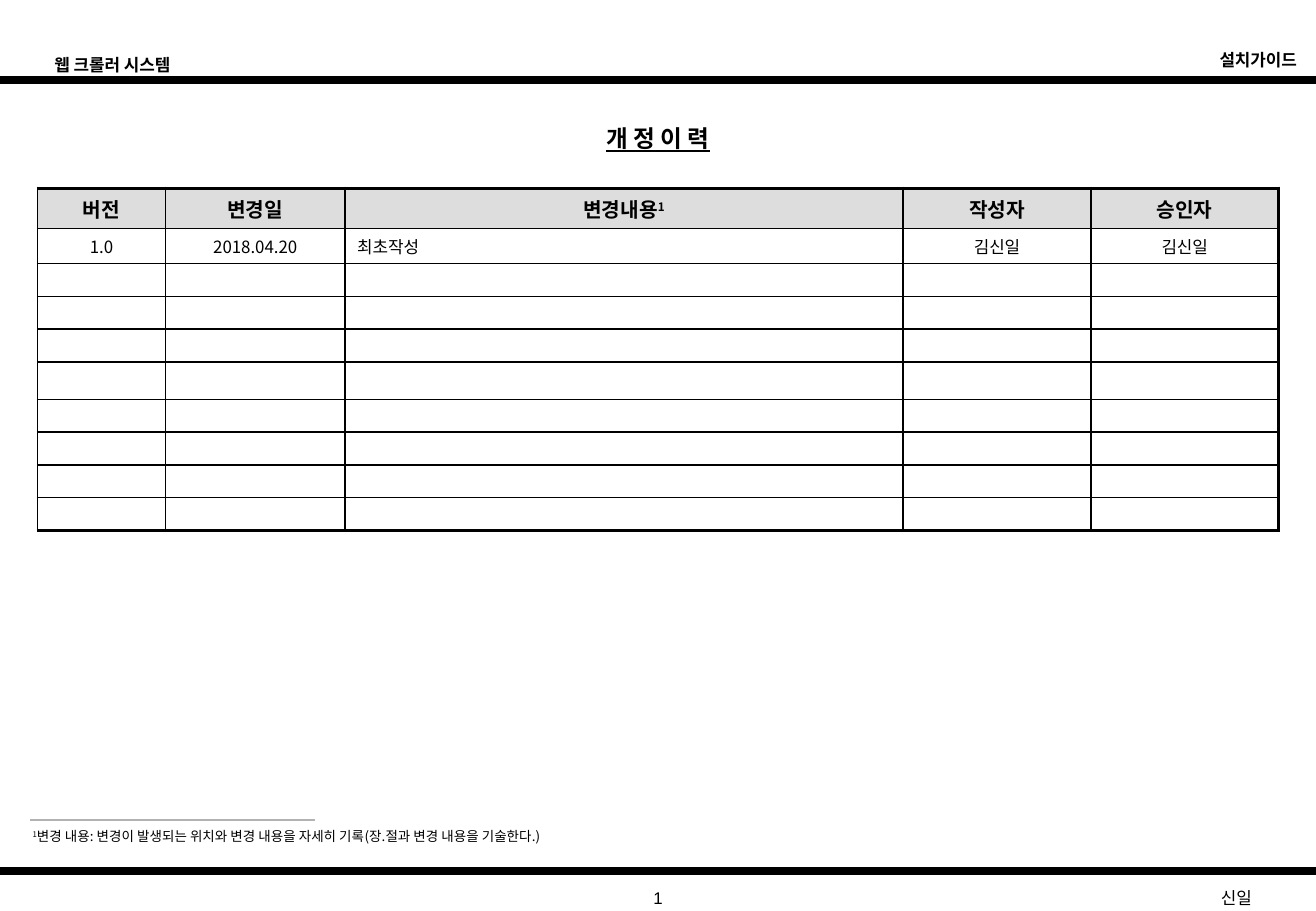
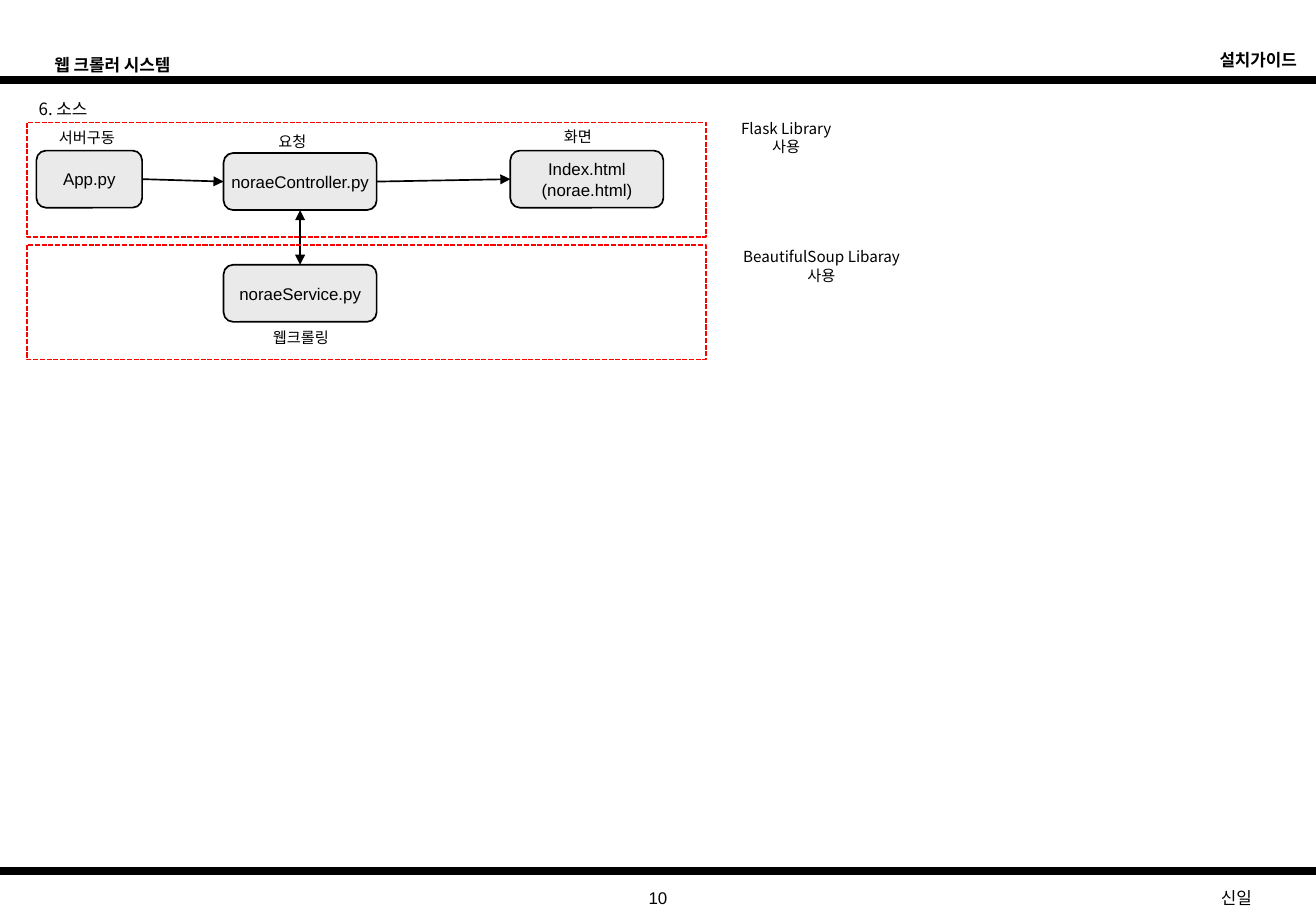
from lxml import etree
from pptx import Presentation
from pptx.dml.color import RGBColor
from pptx.enum.dml import MSO_LINE
from pptx.enum.shapes import MSO_CONNECTOR, MSO_SHAPE
from pptx.enum.text import MSO_ANCHOR, MSO_AUTO_SIZE, PP_ALIGN
from pptx.oxml.ns import qn
from pptx.util import Inches, Pt

BLACK = RGBColor(0, 0, 0)
WHITE = RGBColor(255, 255, 255)
RED = RGBColor(255, 0, 0)
RULE = RGBColor(0xB2, 0xB2, 0xB2)
HEAD = RGBColor(0xDD, 0xDD, 0xDD)
NODE = RGBColor(0xEA, 0xEA, 0xEA)
LATIN = "Arial"
KOREAN = "Noto Sans CJK KR"
LEFT, CENTER, RIGHT = PP_ALIGN.LEFT, PP_ALIGN.CENTER, PP_ALIGN.RIGHT
JUSTIFY = PP_ALIGN.JUSTIFY
MIDDLE = MSO_ANCHOR.MIDDLE
GROW = MSO_AUTO_SIZE.SHAPE_TO_FIT_TEXT
DASH = MSO_LINE.SQUARE_DOT
STRAIGHT = MSO_CONNECTOR.STRAIGHT
RECT, ROUND = MSO_SHAPE.RECTANGLE, MSO_SHAPE.ROUNDED_RECTANGLE
TOP, WEST, BOTTOM, EAST = range(4)
WIDE, HIGH = 10.83, 7.5


def write(frame, text, size=10, font=KOREAN, bold=False, under=False,
          align=LEFT, wrap=True):
    frame.word_wrap = wrap
    for row, line in enumerate(text.split("\n")):
        para = frame.add_paragraph() if row else frame.paragraphs[0]
        para.alignment = align
        for part, piece in enumerate(line.split("\v")):
            if part:
                para.add_line_break()
            for turn, chunk in enumerate(piece.split("^")):
                if not chunk:
                    continue
                run = para.add_run()
                run.text = chunk
                face = run.font
                face.size, face.name = Pt(size), font
                face.bold, face.underline = bold, under
                face.color.rgb = BLACK
                props = run._r.get_or_add_rPr()
                etree.SubElement(props, qn("a:ea"), typeface=font)
                if turn % 2:
                    props.set("baseline", "30000")
        if not line:
            etree.SubElement(para._p, qn("a:endParaRPr"), sz=str(size * 100))


def label(slide, box, text, **style):
    frame = slide.shapes.add_textbox(*map(Inches, box)).text_frame
    write(frame, text, **style)
    frame.auto_size = GROW


def line(slide, start, end, color=BLACK, width=1, heads=()):
    link = slide.shapes.add_connector(STRAIGHT, *map(Inches, start + end))
    link.line.color.rgb = color
    link.line.width = Pt(width)
    for head in heads:
        etree.SubElement(link.line._get_or_add_ln(), qn(head), type="triangle")
    etree.SubElement(link._element.spPr, qn("a:effectLst"))
    return link


def arrow(slide, first, out, last, into, heads=("a:tailEnd",)):
    link = line(slide, (0, 0), (1, 1), heads=heads)
    link.begin_connect(first, out)
    link.end_connect(last, into)


def block(slide, kind, box, color):
    shape = slide.shapes.add_shape(kind, *map(Inches, box))
    shape.shadow.inherit = False
    shape.line.color.rgb = color
    shape.line.width = Pt(1)
    return shape


def node(slide, box, text):
    shape = block(slide, ROUND, box, BLACK)
    shape.fill.solid()
    shape.fill.fore_color.rgb = NODE
    shape.text_frame.vertical_anchor = MIDDLE
    write(shape.text_frame, text, font=LATIN, align=CENTER, wrap=False)
    return shape


def zone(slide, box):
    shape = block(slide, RECT, box, RED)
    shape.fill.background()
    shape.line.dash_style = DASH


def page(deck, number):
    slide = deck.slides.add_slide(deck.slide_layouts[6])
    label(slide, (6.62, 0.36, 4.15, 0.27), "설치가이드", bold=True, align=RIGHT)
    label(slide, (0.35, 0.4, 4.73, 0.27), "웹 크롤러 시스템", bold=True)
    for y in (0.66, 7.17):
        line(slide, (0, y), (WIDE, y), width=4.5)
    label(slide, (4.95, 7.26, 0.93, 0.27), str(number), font=LATIN, align=CENTER)
    label(slide, (9.51, 7.26, 1.33, 0.27), "신일", align=CENTER)
    return slide


def border(cell, **widths):
    props = cell._tc.get_or_add_tcPr()
    for spot, side in enumerate(("L", "R", "T", "B")):
        edge = etree.Element(qn("a:ln" + side), w=str(Pt(widths.get(side, 1))))
        fill = etree.SubElement(edge, qn("a:solidFill"))
        etree.SubElement(fill, qn("a:srgbClr"), val=str(BLACK))
        props.insert(spot, edge)


def grid(slide, left, top, cols, rows, data):
    box = map(Inches, (left, top, sum(cols), sum(rows)))
    table = slide.shapes.add_table(len(rows), len(cols), *box).table
    table.first_row = table.horz_banding = False
    for col, width in zip(table.columns, cols):
        col.width = Inches(width)
    for y, height in enumerate(rows):
        table.rows[y].height = Inches(height)
        for x in range(len(cols)):
            cell = table.cell(y, x)
            cell.fill.solid()
            cell.fill.fore_color.rgb = WHITE if y else HEAD
            if y:
                cell.vertical_anchor = MIDDLE
            write(cell.text_frame, data[y][x] if y < len(data) else "",
                  size=10 if y else 12, bold=not y,
                  align=LEFT if y and x == 2 else CENTER)
            border(cell, T=1 if y else 2.25,
                   R=2.25 if x == len(cols) - 1 else 1,
                   B=2.25 if y == len(rows) - 1 else 1)


def history(deck):
    slide = page(deck, 1)
    label(slide, (4.54, 0.97, 1.75, 0.33), "개 정 이 력", size=14, bold=True,
          under=True, align=CENTER)
    grid(slide, 0.31, 1.55, (1.05, 1.48, 4.59, 1.55, 1.54),
         (0.33, 0.29, *[0.27] * 3, 0.31, *[0.27] * 4),
         [("버전", "변경일", "변경내용^1", "작성자", "승인자"),
          ("1.0", "2018.04.20", "최초작성", "김신일", "김신일")])
    line(slide, (0.25, 6.75), (2.59, 6.75), color=RULE)
    label(slide, (0.17, 6.77, 10.66, 0.24),
          "^1^변경 내용: 변경이 발생되는 위치와 변경 내용을 자세히 기록"
          "(장.절과 변경 내용을 기술한다.)", size=8, align=JUSTIFY)


def flow(slide, left, top):
    def tag(x, y, width, text):
        label(slide, (left + x, top + y, width, 0.25), text, size=9,
              align=CENTER, wrap=False)

    def step(x, y, width, text):
        return node(slide, (left + x, top + y, width, 0.47), text)

    app = step(0.08, 0.23, 0.87, "App.py")
    control = step(1.62, 0.25, 1.26, "noraeController.py")
    service = step(1.62, 1.17, 1.26, "noraeService.py")
    view = step(3.98, 0.23, 1.26, "Index.html\n(norae.html)")
    arrow(slide, app, EAST, control, WEST)
    arrow(slide, control, EAST, view, WEST)
    arrow(slide, control, BOTTOM, service, TOP, ("a:headEnd", "a:tailEnd"))
    tag(0.14, 0, 0.71, "서버구동")
    tag(1.96, 0.03, 0.45, "요청")
    tag(1.9, 1.64, 0.71, "웹크롤링")
    tag(4.31, -0.01, 0.45, "화면")
    for y in (0, 1.01):
        zone(slide, (left, top + y, 5.59, 0.94))
    tag(5.65, -0.08, 1.2, "Flask Library\v사용")
    tag(5.67, 0.98, 1.74, "BeautifulSoup Libaray\v사용")


def source(deck):
    slide = page(deck, 10)
    label(slide, (0.22, 0.76, 9.21, 0.27), "6. 소스")
    flow(slide, 0.22, 1.01)


def main():
    deck = Presentation()
    deck.slide_width, deck.slide_height = Inches(WIDE), Inches(HIGH)
    history(deck)
    source(deck)
    deck.save("out.pptx")


if __name__ == "__main__":
    main()
